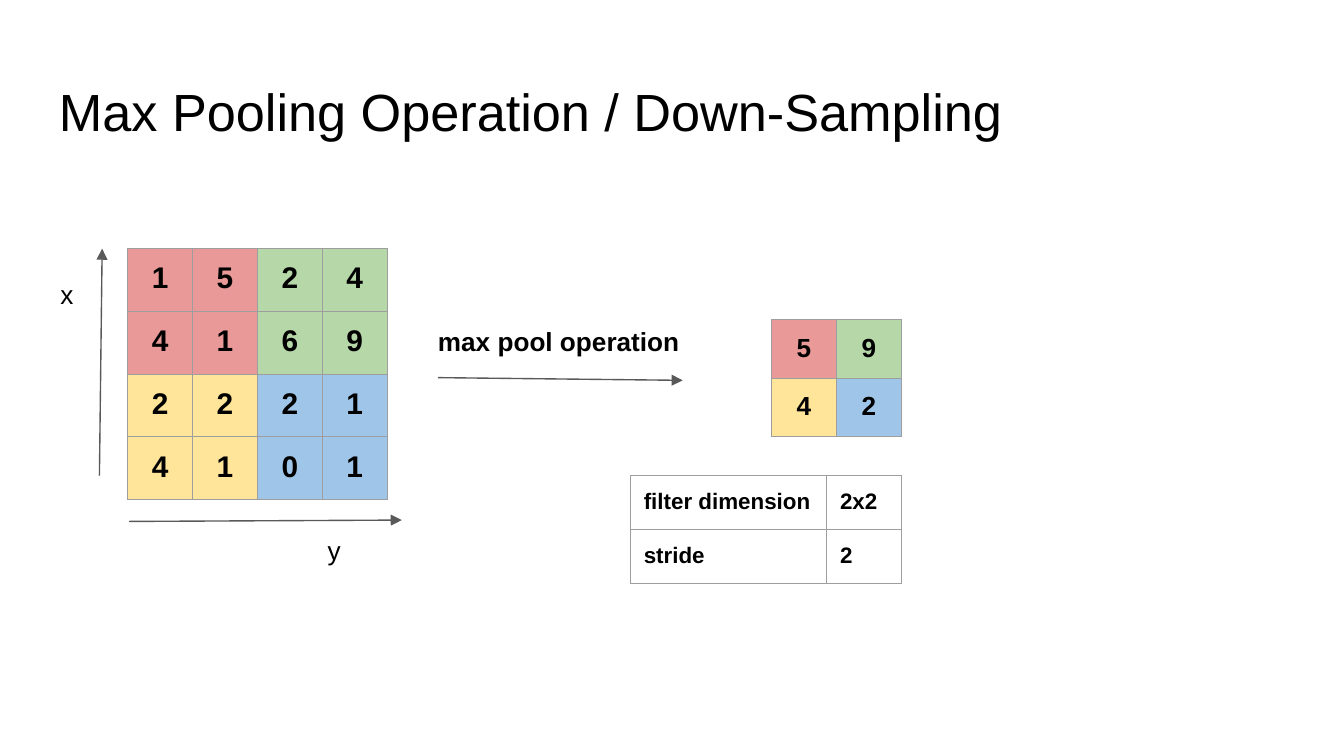
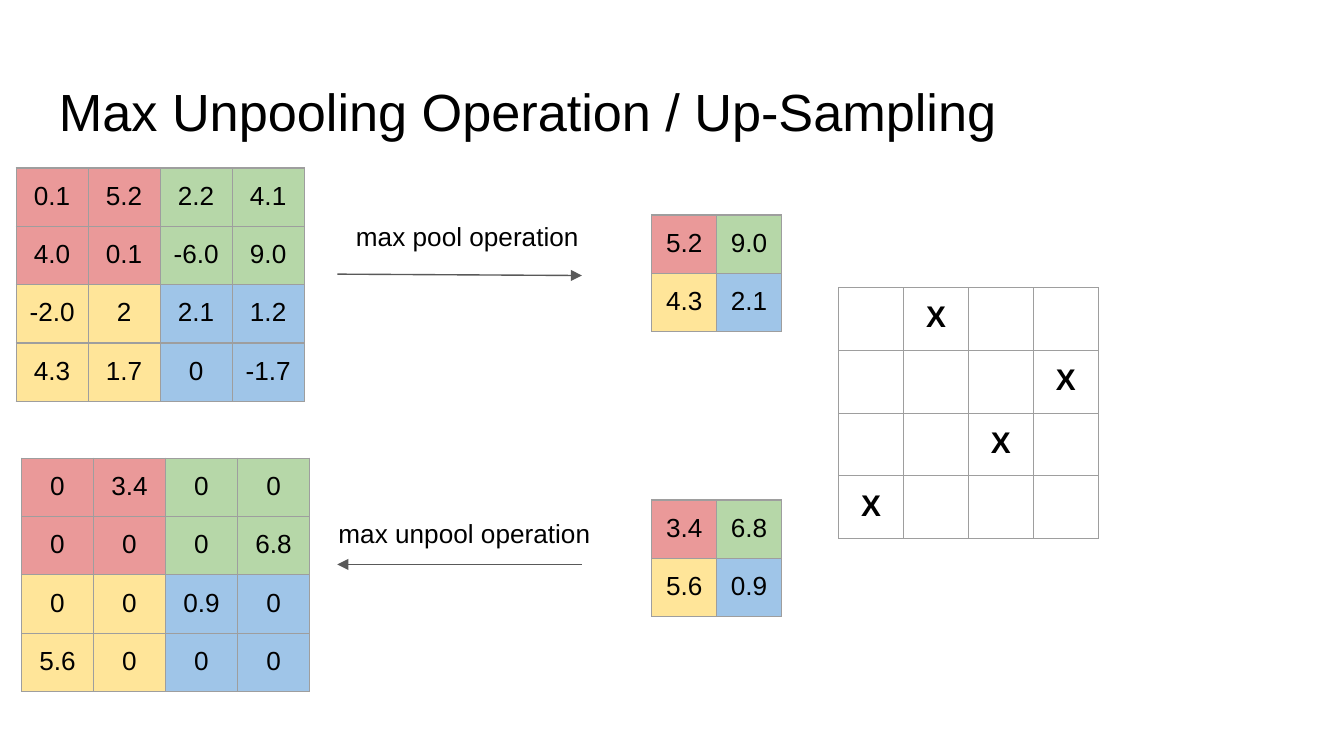
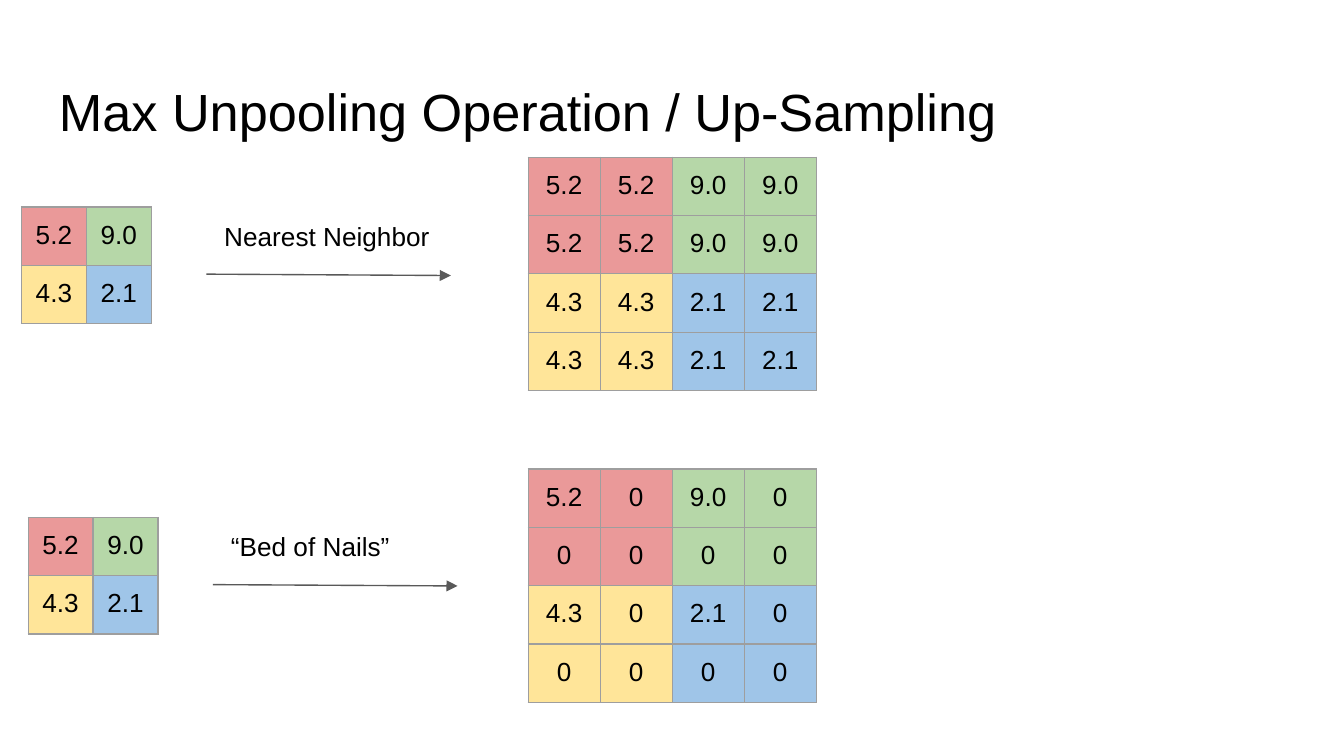
from lxml.etree import SubElement
from pptx import Presentation
from pptx.dml.color import RGBColor
from pptx.enum.shapes import MSO_CONNECTOR
from pptx.enum.text import MSO_ANCHOR, PP_ALIGN
from pptx.oxml.ns import qn
from pptx.util import Inches, Pt

UNIT = Inches(0.1)          # one column or row of the slide grid
COLS, ROWS = 100, 56.25
FONT = "Arial"
COLORS = {
    "text": "000000", "arrow": "595959", "border": "9E9E9E",
    "red": "EA9999", "green": "B6D7A8", "yellow": "FFE599", "blue": "9FC5E8",
}
QUADRANTS = [["red", "green"], ["yellow", "blue"]]
ROW_HEIGHT = {12: 3.9, 14: 4.2, 16: 4.5}     # by font size
PAIR, QUAD = [4.83] * 2, [4.83] * 4          # column widths
WIDE_QUAD = [5.36] * 4

POOLED = [["5.2", "9.0"], ["4.3", "2.1"]]


def grid(n):
    return int(n * UNIT)


def rgb(name):
    return RGBColor.from_string(COLORS[name])


def write(tf, text, size=14, bold=False, align=PP_ALIGN.LEFT):
    p = tf.paragraphs[0]
    p.alignment = align
    r = p.add_run()
    r.text = text
    r.font.name, r.font.size, r.font.bold = FONT, Pt(size), bold
    r.font.color.rgb = rgb("text")


def set_margins(box):
    box.margin_left = box.margin_right = UNIT
    box.margin_top = box.margin_bottom = UNIT


def add_text(slide, x, y, w, h, text, **fmt):
    tf = slide.shapes.add_textbox(*map(grid, (x, y, w, h))).text_frame
    tf.word_wrap = True
    tf.vertical_anchor = MSO_ANCHOR.TOP
    set_margins(tf)
    write(tf, text, **fmt)


def add_arrow(slide, x1, y1, x2, y2):
    line = slide.shapes.add_connector(
        MSO_CONNECTOR.STRAIGHT, *map(grid, (x1, y1, x2, y2)))
    line.line.width = Pt(0.75)
    line.line.color.rgb = rgb("arrow")
    SubElement(line.line._get_or_add_ln(), qn("a:tailEnd"), type="triangle")
    SubElement(line._element.spPr, qn("a:effectLst"))


def add_borders(cell):
    tc_pr = cell._tc.get_or_add_tcPr()
    for side in "LRTB":
        ln = SubElement(tc_pr, qn("a:ln" + side), w=str(Pt(0.75)))
        fill = SubElement(ln, qn("a:solidFill"))
        SubElement(fill, qn("a:srgbClr"), val=COLORS["border"])


def add_matrix(slide, x, y, values, widths, size=14, colored=True,
               align=PP_ALIGN.CENTER, bold=False):
    """Table of values; when colored, each quadrant gets its own fill."""
    n, height = len(values), ROW_HEIGHT[size]
    table = slide.shapes.add_table(
        n, len(widths), *map(grid, (x, y, sum(widths), n * height))).table
    table.first_row = table.horz_banding = False
    for col, width in zip(table.columns, widths):
        col.width = grid(width)
    for i, row in enumerate(values):
        table.rows[i].height = grid(height)
        for j, value in enumerate(row):
            cell = table.cell(i, j)
            add_borders(cell)
            if colored:
                cell.fill.solid()
                cell.fill.fore_color.rgb = rgb(QUADRANTS[2 * i // n][2 * j // n])
            else:
                cell.fill.background()
            if value:
                set_margins(cell)
                write(cell.text_frame, value, size=size, bold=bold, align=align)


def add_slide(prs, title):
    slide = prs.slides.add_slide(prs.slide_layouts[6])
    add_text(slide, 3.4, 4.9, 93.2, 6.3, title, size=28)
    return slide


def cells(*rows):
    return [row.split() for row in rows]


def upsample(pooled, keep):
    """Double a matrix; cells for which keep(row, column) is false become 0."""
    size = range(2 * len(pooled))
    return [[pooled[i // 2][j // 2] if keep(i, j) else "0" for j in size]
            for i in size]


def pooling_slide(prs):
    s = add_slide(prs, "Max Pooling Operation / Down-Sampling")
    add_matrix(s, 9.5, 18.5, cells("1 5 2 4", "4 1 6 9", "2 2 2 1", "4 1 0 1"),
               QUAD, size=16, bold=True)
    add_arrow(s, 7.4, 35.4, 7.6, 18.5)
    add_arrow(s, 9.6, 38.8, 29.9, 38.7)
    add_text(s, 3.5, 19.7, 8.1, 2, "x")
    add_text(s, 23.4, 38.8, 8.1, 2, "y")
    add_matrix(s, 57.4, 23.8, cells("5 9", "4 2"), PAIR, bold=True)
    add_arrow(s, 32.6, 28.1, 50.8, 28.3)
    add_text(s, 31.6, 23.2, 20.2, 4.9, "max pool operation", bold=True)
    add_matrix(s, 46.9, 35.4, [["filter dimension", "2x2"], ["stride", "2"]],
               [14.6, 5.6], size=12, colored=False, align=PP_ALIGN.LEFT, bold=True)


def unpooling_slide(prs):
    s = add_slide(prs, "Max Unpooling Operation / Up-Sampling")
    max_column = [1, 3, 2, 0]       # column of the maximum in each row
    is_max = lambda i, j: max_column[i] == j
    add_matrix(s, 1.2, 12.5, cells("0.1 5.2 2.2 4.1", "4.0 0.1 -6.0 9.0",
                                   "-2.0 2 2.1 1.2", "4.3 1.7 0 -1.7"), WIDE_QUAD)
    add_matrix(s, 48.5, 16, POOLED, PAIR)
    add_arrow(s, 25.1, 20.4, 43.3, 20.5)
    add_text(s, 25.5, 15.4, 20.2, 4.9, "max pool operation")
    marks = [["X" if is_max(i, j) else "" for j in range(4)] for i in range(4)]
    add_matrix(s, 62.4, 21.4, marks, QUAD, size=16, colored=False, bold=True)
    scores = cells("3.4 6.8", "5.6 0.9")
    add_matrix(s, 48.5, 37.2, scores, PAIR)
    add_arrow(s, 43.3, 42, 25.1, 42)
    add_text(s, 24.2, 37.5, 22.7, 3.9, "max unpool operation")
    add_matrix(s, 1.6, 34.1, upsample(scores, is_max), WIDE_QUAD)


def upsampling_slide(prs):
    s = add_slide(prs, "Max Unpooling Operation / Up-Sampling")
    methods = [
        ("Nearest Neighbor", 1.6, 15.4, 11.7, lambda i, j: True),
        ("“Bed of Nails”", 2.1, 38.5, 34.9, lambda i, j: i % 2 == j % 2 == 0),
    ]
    for name, x, y, result_y, keep in methods:
        add_matrix(s, 39.3, result_y, upsample(POOLED, keep), WIDE_QUAD)
        add_matrix(s, x, y, POOLED, PAIR)
        add_arrow(s, x + 13.75, y + 5, x + 31.95, y + 5.1)
        add_text(s, x + 14.1, y, 20.2, 4.9, name)


def main():
    prs = Presentation()
    prs.slide_width, prs.slide_height = grid(COLS), grid(ROWS)
    pooling_slide(prs)
    unpooling_slide(prs)
    upsampling_slide(prs)
    prs.save("out.pptx")


if __name__ == "__main__":
    main()
